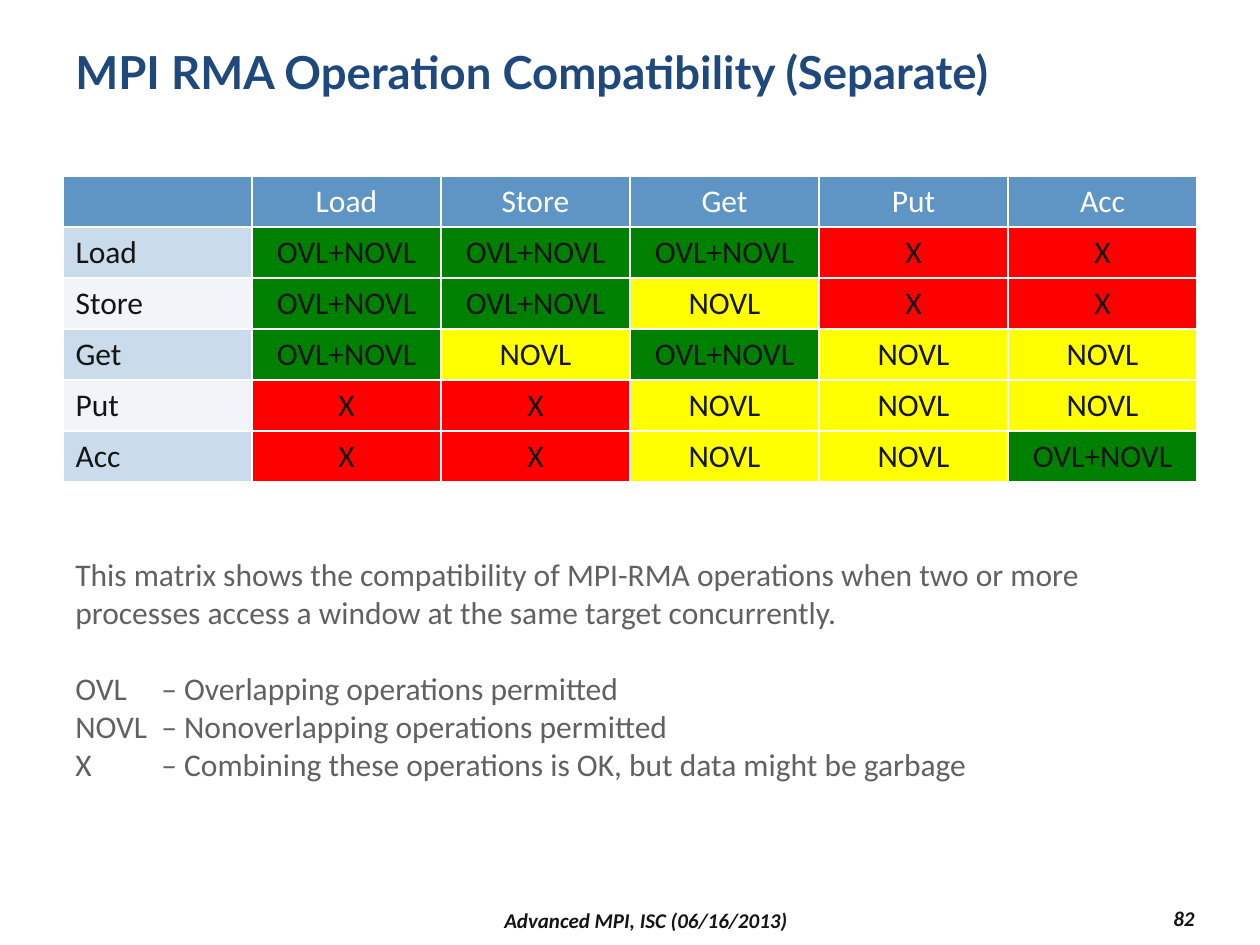
"""Build the MPI RMA operation compatibility slide."""
from lxml import etree
from pptx import Presentation
from pptx import util as u
from pptx.dml.color import RGBColor
from pptx.enum import text
from pptx.oxml import ns

NAVY = RGBColor(0x1F, 0x49, 0x7D)
BLUE = RGBColor(0x5F, 0x95, 0xC4)
PALE = RGBColor(0xCA, 0xDC, 0xEB)
PALEST = RGBColor(0xF1, 0xF5, 0xF9)
WHITE = RGBColor(0xFF, 0xFF, 0xFF)
INK = RGBColor(0x15, 0x15, 0x15)
GREY = RGBColor(0x61, 0x61, 0x61)
GREEN = RGBColor(0x00, 0x80, 0x00)
YELLOW = RGBColor(0xFF, 0xFF, 0x00)
RED = RGBColor(0xFF, 0x00, 0x00)

LEFT = text.PP_ALIGN.LEFT
CENTER = text.PP_ALIGN.CENTER
RIGHT = text.PP_ALIGN.RIGHT

BOTH, APART, NEVER = "OVL+NOVL", "NOVL", "X"
VERDICT_FILLS = {BOTH: GREEN, APART: YELLOW, NEVER: RED}
OPERATIONS = ["Load", "Store", "Get", "Put", "Acc"]
VERDICTS = [
    [BOTH, BOTH, BOTH, NEVER, NEVER],
    [BOTH, BOTH, APART, NEVER, NEVER],
    [BOTH, APART, BOTH, APART, APART],
    [NEVER, NEVER, APART, APART, APART],
    [NEVER, NEVER, APART, APART, BOTH],
]
SUMMARY = ("This matrix shows the compatibility of MPI-RMA operations when two or more "
           "processes access a window at the same target concurrently.")
LEGEND = [
    "OVL \t– Overlapping operations permitted",
    "NOVL \t– Nonoverlapping operations permitted",
    "X \t– Combining these operations is OK, but data might be garbage",
]


def px(count):
    """Turn pixels into EMU at 126 pixels to the inch."""
    return u.Emu(round(count * 914400 / 126))


def write(paragraph, words, size=18, font="Calibri", color=INK, bold=False,
          italic=False, align=LEFT, before=0):
    """Add one formatted run to a paragraph."""
    paragraph.alignment = align
    paragraph.space_before = u.Pt(before)
    run = paragraph.add_run()
    run.text = words
    run.font.size = u.Pt(size)
    run.font.name = font
    run.font.color.rgb = color
    run.font.bold = bold
    run.font.italic = italic


def add_frame(slide, left, top, width, height, anchor=text.MSO_ANCHOR.TOP):
    """Add a wrapping text box and return its text frame."""
    frame = slide.shapes.add_textbox(px(left), px(top), px(width), px(height)).text_frame
    frame.word_wrap = True
    frame.vertical_anchor = anchor
    return frame


def set_tab(paragraph, position):
    """Give a paragraph one left tab stop."""
    stops = etree.SubElement(paragraph._p.get_or_add_pPr(), ns.qn("a:tabLst"))
    etree.SubElement(stops, ns.qn("a:tab"), pos=str(px(position)), algn="l")


def set_borders(cell):
    """Draw thin white borders round a cell."""
    properties = cell._tc.get_or_add_tcPr()
    for side in ("lnL", "lnR", "lnT", "lnB"):
        border = etree.SubElement(properties, ns.qn(f"a:{side}"), w=str(u.Pt(1)))
        fill = etree.SubElement(border, ns.qn("a:solidFill"))
        etree.SubElement(fill, ns.qn("a:srgbClr"), val=str(WHITE))


def fill_cell(cell, words, fill, **style):
    """Set the borders, fill and wording of a cell."""
    set_borders(cell)
    cell.fill.solid()
    cell.fill.fore_color.rgb = fill
    write(cell.text_frame.paragraphs[0], words, **style)


def add_matrix(slide):
    """Add the compatibility table."""
    count = len(OPERATIONS) + 1
    matrix = slide.shapes.add_table(count, count, px(63), px(176), px(1134), px(306)).table
    for column, heading in enumerate([""] + OPERATIONS):
        fill_cell(matrix.cell(0, column), heading, BLUE, color=WHITE, align=CENTER)
    for row, (operation, verdicts) in enumerate(zip(OPERATIONS, VERDICTS), 1):
        fill_cell(matrix.cell(row, 0), operation, PALE if row % 2 else PALEST)
        for column, verdict in enumerate(verdicts, 1):
            fill_cell(matrix.cell(row, column), verdict, VERDICT_FILLS[verdict], align=CENTER)


def add_explanation(slide):
    """Add the summary and the tabbed legend."""
    frame = add_frame(slide, 63, 549, 1134, 242)
    write(frame.paragraphs[0], SUMMARY, color=GREY)
    for index, entry in enumerate(LEGEND):
        paragraph = frame.add_paragraph()
        write(paragraph, entry, color=GREY, before=0 if index else 22)
        set_tab(paragraph, 86)


def add_footer(slide, words, align, *box):
    """Add one bold italic footer text."""
    frame = add_frame(slide, *box, anchor=text.MSO_ANCHOR.MIDDLE)
    write(frame.paragraphs[0], words, size=12, bold=True, italic=True, align=align)


def main():
    """Build and save the slide."""
    deck = Presentation()
    deck.slide_width, deck.slide_height = px(1260), px(945)
    slide = deck.slides.add_slide(deck.slide_layouts[6])
    title = add_frame(slide, 63, 38, 1134, 110)
    write(title.paragraphs[0], "MPI RMA Operation Compatibility (Separate)",
          size=26, font="Lato", color=NAVY, bold=True)
    add_matrix(slide)
    add_explanation(slide)
    add_footer(slide, "82", RIGHT, 1071, 901, 136, 34)
    add_footer(slide, "Advanced MPI, ISC (06/16/2013)", CENTER, 273, 903, 746, 34)
    deck.save("out.pptx")


if __name__ == "__main__":
    main()
